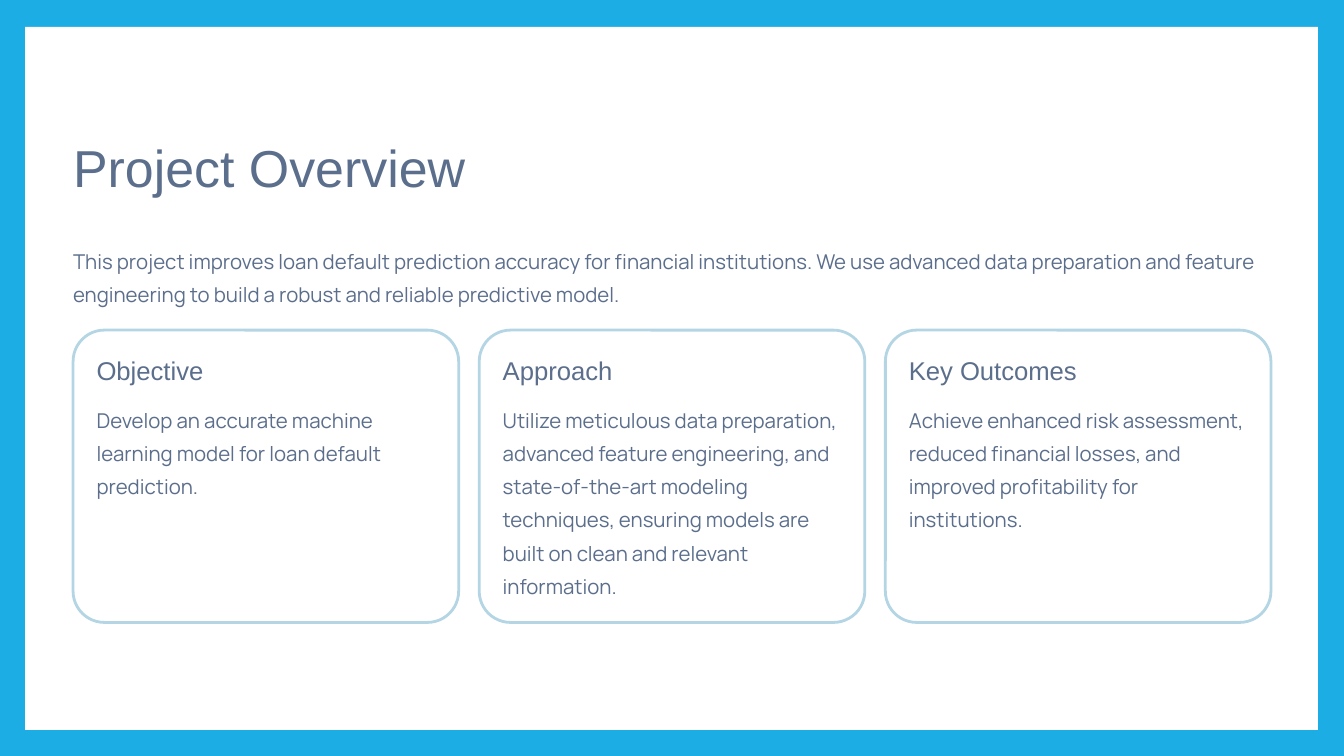
from dataclasses import dataclass

from pptx import Presentation
from pptx.dml.color import RGBColor
from pptx.enum.shapes import MSO_SHAPE as Shape
from pptx.util import Inches, Pt


@dataclass(frozen=True)
class TextStyle:
    font: str
    size: float
    spacing: float
    wrap: bool


@dataclass(frozen=True)
class Theme:
    frame: RGBColor = RGBColor(0x1C, 0xAD, 0xE4)
    panel: RGBColor = RGBColor(0xFF, 0xFF, 0xFF)
    border: RGBColor = RGBColor(0xB3, 0xD5, 0xE4)
    ink: RGBColor = RGBColor(0x5B, 0x6E, 0x8C)
    title: TextStyle = TextStyle("Arial", 44.5, 55.5, False)
    heading: TextStyle = TextStyle("Arial", 22, 27.5, False)
    body: TextStyle = TextStyle("Manrope", 17.5, 28.5, True)


THEME = Theme()
LEFT = 0.87
CARD_TOP, CARD_WIDTH, CARD_HEIGHT = 3.93, 4.59, 3.48
CARD_STEP = 4.835
PADDING = 0.28
LINE_HEIGHT = 0.397

INTRO = (
    "This project improves loan default prediction accuracy for financial institutions. "
    "We use advanced data preparation and feature engineering to build a robust and "
    "reliable predictive model."
)
CARDS = [
    ("Objective",
     "Develop an accurate machine learning model for loan default prediction.", 3),
    ("Approach",
     "Utilize meticulous data preparation, advanced feature engineering, and "
     "state-of-the-art modeling techniques, ensuring models are built on clean "
     "and relevant information.", 6),
    ("Key Outcomes",
     "Achieve enhanced risk assessment, reduced financial losses, and improved "
     "profitability for institutions.", 4),
]


def add_panel(slide, kind, left, top, width, height):
    sp = slide.shapes.add_shape(
        kind, Inches(left), Inches(top), Inches(width), Inches(height))
    sp.shadow.inherit = False
    sp.fill.solid()
    sp.fill.fore_color.rgb = THEME.panel
    sp.line.fill.background()
    return sp


def add_text(slide, text, style, left, top, width, height):
    box = slide.shapes.add_textbox(
        Inches(left), Inches(top), Inches(width), Inches(height))
    tf = box.text_frame
    tf.margin_left = tf.margin_right = tf.margin_top = tf.margin_bottom = 0
    tf.word_wrap = style.wrap
    tf.text = text
    p = tf.paragraphs[0]
    p.line_spacing = Pt(style.spacing)
    font = p.runs[0].font
    font.name = style.font
    font.size = Pt(style.size)
    font.color.rgb = THEME.ink


def add_card(slide, left, heading, body, lines):
    card = add_panel(
        slide, Shape.ROUNDED_RECTANGLE, left, CARD_TOP, CARD_WIDTH, CARD_HEIGHT)
    card.adjustments[0] = 0.107
    card.line.color.rgb = THEME.border
    card.line.width = Pt(2.4)
    text_left = left + PADDING
    add_text(slide, heading, THEME.heading, text_left, CARD_TOP + PADDING, 3.1, 0.39)
    add_text(slide, body, THEME.body, text_left, 4.75,
             CARD_WIDTH - 2 * PADDING, lines * LINE_HEIGHT)


def main():
    prs = Presentation()
    prs.slide_width = Inches(16)
    prs.slide_height = Inches(9)
    slide = prs.slides.add_slide(prs.slide_layouts[6])
    slide.background.fill.solid()
    slide.background.fill.fore_color.rgb = THEME.frame

    add_panel(slide, Shape.RECTANGLE, 0.3, 0.32, 15.39, 8.37)
    add_text(slide, "Project Overview", THEME.title, LEFT, 1.59, 6.2, 0.78)
    add_text(slide, INTRO, THEME.body, LEFT, 2.86, 14.26, 2 * LINE_HEIGHT)
    for i, (heading, body, lines) in enumerate(CARDS):
        add_card(slide, LEFT + i * CARD_STEP, heading, body, lines)

    prs.save("out.pptx")


if __name__ == "__main__":
    main()
